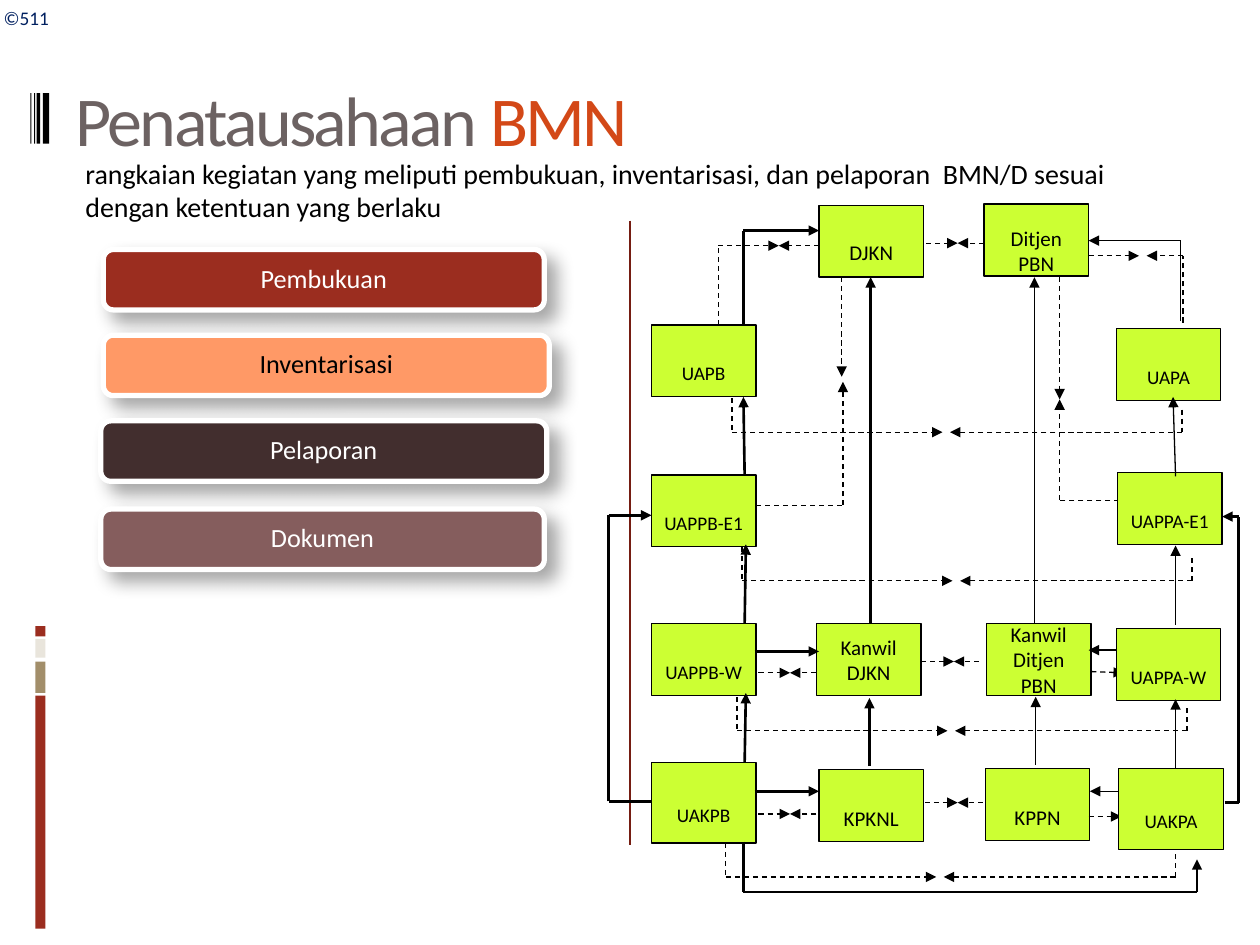
from lxml.etree import SubElement
from pptx import Presentation
from pptx.dml.color import RGBColor
from pptx.enum.dml import MSO_LINE
from pptx.enum.shapes import MSO_CONNECTOR, MSO_SHAPE
from pptx.enum.text import MSO_ANCHOR, PP_ALIGN
from pptx.oxml.ns import qn
from pptx.util import Pt

SCALE = 9144
FONT = "Calibri"


def px(*vals):
    """Turn px lengths into EMU."""
    return [int(v * SCALE) for v in vals]


def paint(part, tone):
    """Give a fill, line or font a hex colour."""
    if hasattr(part, "solid"):
        part.solid()
        part.fore_color.rgb = RGBColor.from_string(tone)
    else:
        part.color.rgb = RGBColor.from_string(tone)


def write(shape, *runs, size=12, align=PP_ALIGN.LEFT, mid=True, pad=(10, 5, 10, 5), gap=None, lead=None):
    """Write (text, colour) runs into a shape as one paragraph."""
    frame = shape.text_frame
    frame.word_wrap = True
    frame.vertical_anchor = MSO_ANCHOR.MIDDLE if mid else MSO_ANCHOR.TOP
    frame.margin_left, frame.margin_top, frame.margin_right, frame.margin_bottom = px(*pad)
    para = frame.paragraphs[0]
    para.alignment = align
    if lead:
        para.line_spacing = lead
    for text, tone in runs:
        run = para.add_run()
        run.text = text
        run.font.name, run.font.size = FONT, Pt(size)
        paint(run.font, tone)
        if gap:
            run.font._element.set("spc", str(gap))


def block(slide, box, fill, edge=None, width=0.75, kind=MSO_SHAPE.RECTANGLE):
    """Add a flat filled shape."""
    shape = slide.shapes.add_shape(kind, *px(*box))
    shape.shadow.inherit = False
    paint(shape.fill, fill)
    if edge:
        paint(shape.line, edge)
        shape.line.width = Pt(width)
    else:
        shape.line.fill.background()
    return shape


def trace(slide, x, y, *spots, width=0.75, dash=False, tip=True, tone="000000"):
    """Join spots with straight lines, with an arrow at the last."""
    for (x1, y1), (x2, y2) in zip(spots, spots[1:]):
        line = slide.shapes.add_connector(MSO_CONNECTOR.STRAIGHT, *px(x + x1, y + y1, x + x2, y + y2))
        paint(line.line, tone)
        line.line.width = Pt(width)
        if dash:
            line.line.dash_style = MSO_LINE.DASH
        SubElement(line._element.spPr, qn("a:effectLst"))
    if tip:
        SubElement(line.line._get_or_add_ln(), qn("a:tailEnd"), type="triangle")


def frame(slide, x, y):
    """Draw the side bars, title bars, mark and divider."""
    for top, high, tone in ((552, 185, "9B2D1F"), (525, 25, "A28E6A"), (507, 15, "E9E5DC"), (497, 8, "9B2D1F")):
        block(slide, (x + 28, y + top, 8, high), tone)
    for left, wide in ((34, 5), (29, 3), (27, 1), (24, 1)):
        block(slide, (x + left, y + 74, wide, 40), "000000")
    mark = slide.shapes.add_textbox(*px(x - 7, y, 61, 29))
    write(mark, ("©511", "002060"), size=11, mid=False)
    trace(slide, x, y, (500, 175), (500, 671), tip=False, tone="751D12")


def head(slide, x, y):
    """Place the title and the lead text."""
    title = slide.shapes.title
    title.left, title.top, title.width, title.height = px(x, y, 900, 142)
    write(title, ("Penatausahaan ", "6C6262"), ("BMN", "D34817"), size=40, gap=-150)
    lead = slide.shapes.add_textbox(*px(x + 8, y + 96, 883, 64))
    text = "rangkaian kegiatan yang meliputi pembukuan, inventarisasi, dan pelaporan  BMN/D sesuai dengan ketentuan yang berlaku"
    write(lead, (text, "000000"), size=16, mid=False)


def pills(slide, x, y):
    """Stack the four topic pills."""
    rows = (
        ("Pembukuan", 2, 0, 350, "9B2D1F", "FFFFFF"),
        ("Inventarisasi", 2, 68, 354, "FF9966", "000000"),
        ("Pelaporan", 0, 136, 354, "422E2E", "FFFFFF"),
        ("Dokumen", 0, 206, 352, "855D5D", "FFFFFF"),
    )
    for text, left, top, wide, fill, tone in rows:
        pill = block(slide, (x + left, y + top, wide, 48), fill, "FFFFFF", 3, MSO_SHAPE.ROUNDED_RECTANGLE)
        glow = SubElement(pill._element.spPr.find(qn("a:effectLst")), qn("a:outerShdw"),
                          blurRad="129540", dist="101600", dir="2700000", algn="tl", rotWithShape="0")
        shade = SubElement(glow, qn("a:srgbClr"), val="000000")
        SubElement(shade, qn("a:alpha"), val="35000")
        write(pill, (text, tone), size=15, align=PP_ALIGN.CENTER, pad=(11, 0, 11, 0), lead=0.9)


def nodes(slide, x, y, rows):
    """Draw unit boxes from rows of text, place, height, size and drop."""
    for text, left, top, high, size, drop in rows:
        node = block(slide, (x + left, y + top, 83, high), "CCFF33", "000000")
        write(node, (text, "000000"), size=size, align=PP_ALIGN.CENTER, pad=(8, 4 + drop, 8, 4))


def dashes(slide, x, y):
    """Draw the dashed two-way checks."""
    for left, mid, right, top in ((255, 280, 301, 33), (254, 280, 300, 477), (122, 147, 168, 486),
                                  (122, 147, 168, 374), (251, 277, 297, 365)):
        for end in (left, right):
            trace(slide, x, y, (end, top), (mid, top), dash=True)
    for left, top in ((96, 509), (105, 393), (109, 274), (101, 156)):
        low = top + 27
        trace(slide, x, y, (left, top), (left, low), (left + 167, low), dash=True)
        trace(slide, x, y, (left + 357, top + 9), (left + 357, low), (left + 173, low), dash=True)
    paths = (
        ((90, 98), (90, 35), (138, 35)),
        ((170, 35), (138, 35)),
        ((459, 96), (459, 43), (430, 43)),
        ((384, 43), (424, 43)),
        ((386, 373), (412, 374)),
        ((384, 488), (410, 488)),
        ((120, 241), (189, 241), (189, 143)),
        ((188, 60), (188, 139)),
        ((430, 237), (361, 237), (361, 157)),
        ((361, 60), (361, 157)),
    )
    for path in paths:
        trace(slide, x, y, *path, dash=True)


def flow(slide, x, y):
    """Draw the reporting flow between units."""
    nodes(slide, x, y, (
        ("UAPPB-W", 37, 335, 57, 11, 19), ("UAPPB-E1", 37, 217, 57, 11, 19),
        ("UAPB", 37, 98, 57, 11, 19), ("UAKPB", 37, 445, 64, 11, 19),
        ("DJKN", 170, 3, 57, 12, 17), ("Kanwil DJKN", 168, 335, 57, 12, 0),
        ("KPKNL", 170, 451, 57, 12, 20), ("Ditjen PBN", 301, 2, 57, 12, 17),
        ("Kanwil Ditjen PBN", 303, 335, 57, 12, 0), ("KPPN", 302, 450, 57, 12, 20),
    ))
    thick = (
        ((111, 217), (110, 155)),
        ((111, 335), (112, 272)),
        ((111, 445), (112, 390)),
        ((110, 98), (110, 23), (170, 23)),
        ((37, 476), (3, 476), (3, 249), (37, 249)),
        ((211, 335), (211, 60)),
        ((110, 508), (110, 548), (470, 548), (470, 522)),
        ((119, 468), (170, 468)),
        ((119, 357), (170, 357)),
        ((210, 448), (210, 394)),
        ((492, 477), (503, 477), (503, 250), (490, 250)),
    )
    thin = (
        ((341, 335), (341, 60)),
        ((431, 468), (385, 468)),
        ((431, 356), (384, 356)),
        ((457, 95), (457, 31), (384, 31)),
        ((342, 447), (342, 393)),
    )
    for path in thick:
        trace(slide, x, y, *path, width=1.5)
    for path in thin:
        trace(slide, x, y, *path)
    dashes(slide, x, y)
    nodes(slide, x, y, (
        ("UAPA", 406, 101, 57, 11, 19), ("UAPPA-E1", 407, 215, 57, 11, 19),
        ("UAPPA-W", 406, 339, 57, 11, 19), ("UAKPA", 408, 450, 64, 11, 19),
    ))
    for low, top, end in ((218, 155, 451), (336, 273, 453), (450, 395, 453)):
        trace(slide, x, y, (453, low), (end, top))


def main():
    """Build and save the slide."""
    deck = Presentation()
    deck.slide_width, deck.slide_height = px(1000, 750)
    slide = deck.slides.add_slide(deck.slide_layouts[5])
    frame(slide, 0, 0)
    head(slide, 50, 23)
    pills(slide, 80, 198)
    flow(slide, 480, 160)
    deck.save("out.pptx")


if __name__ == "__main__":
    main()
